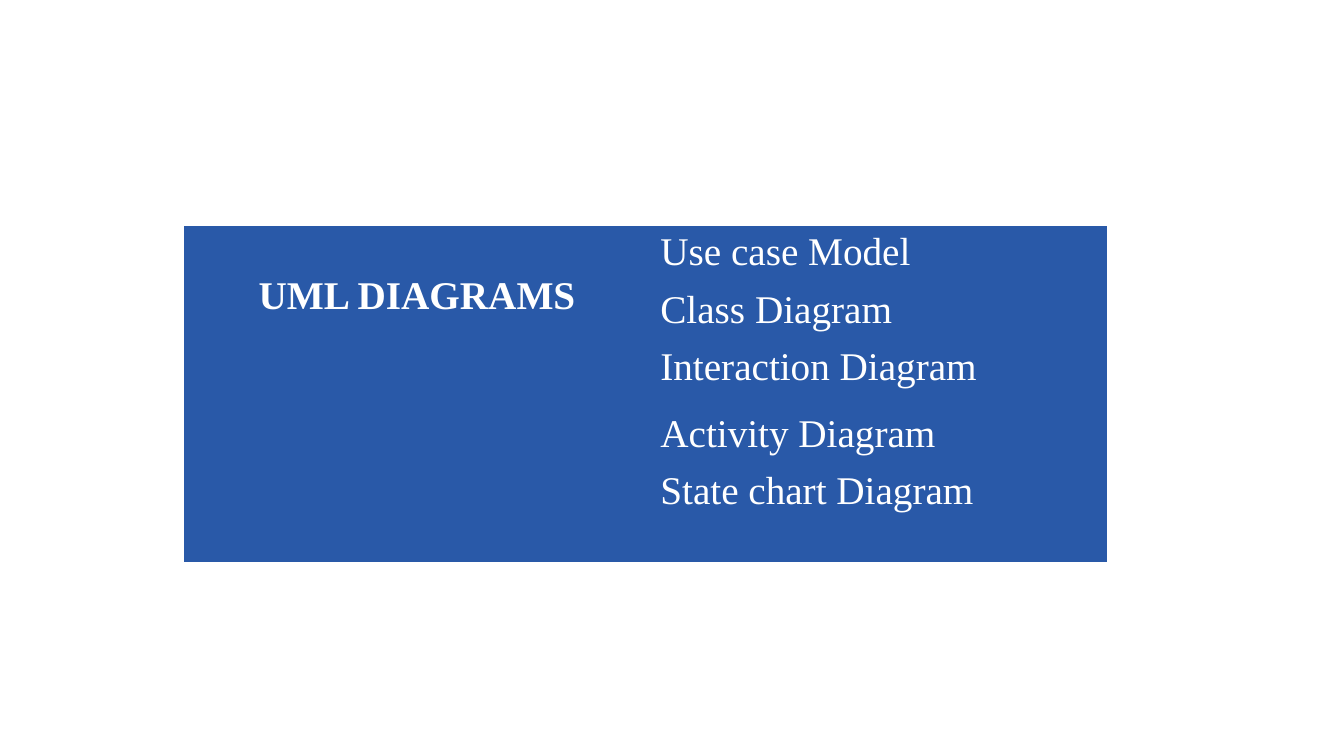
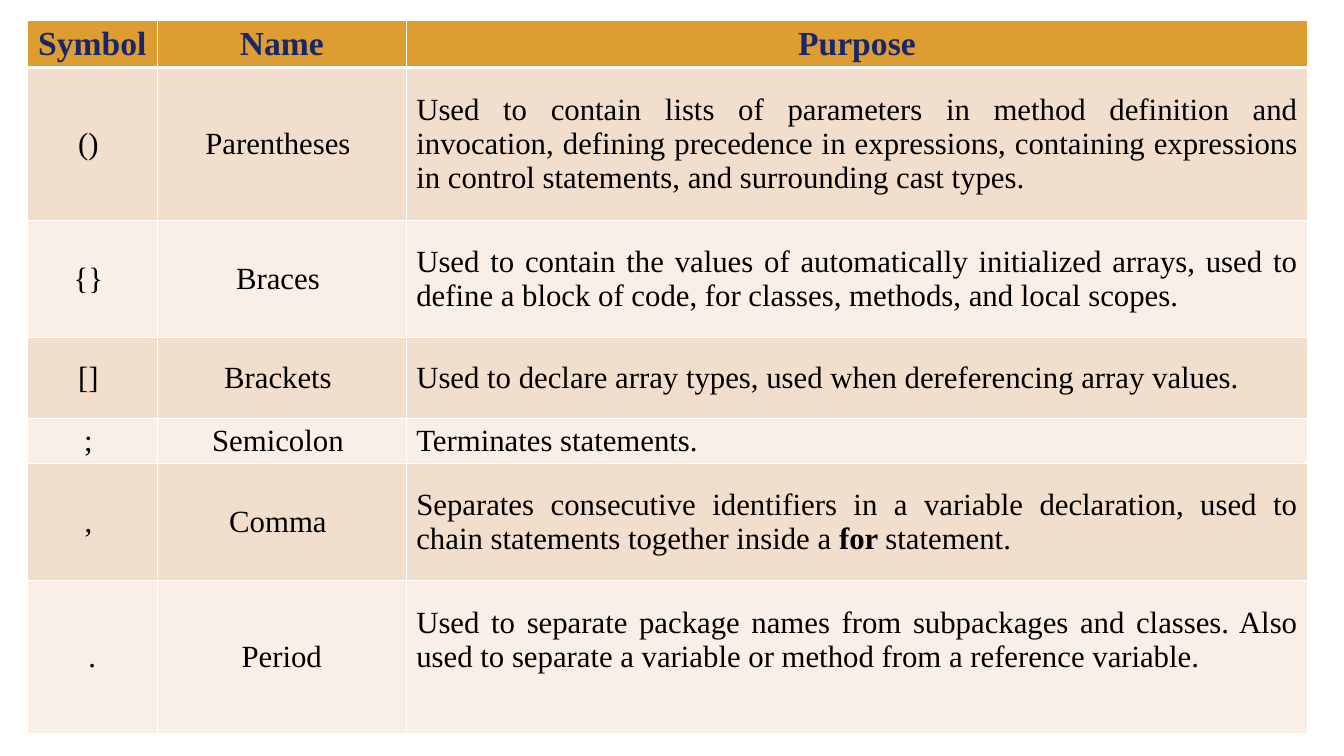
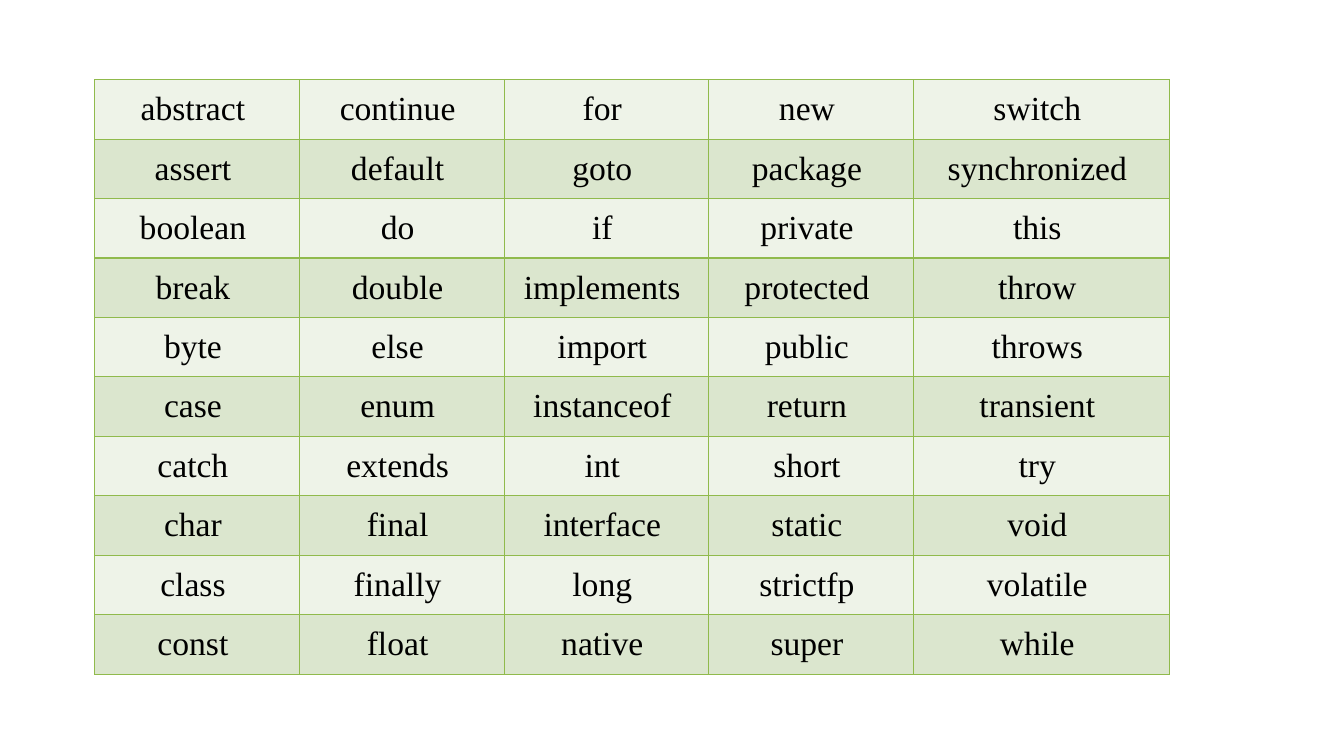
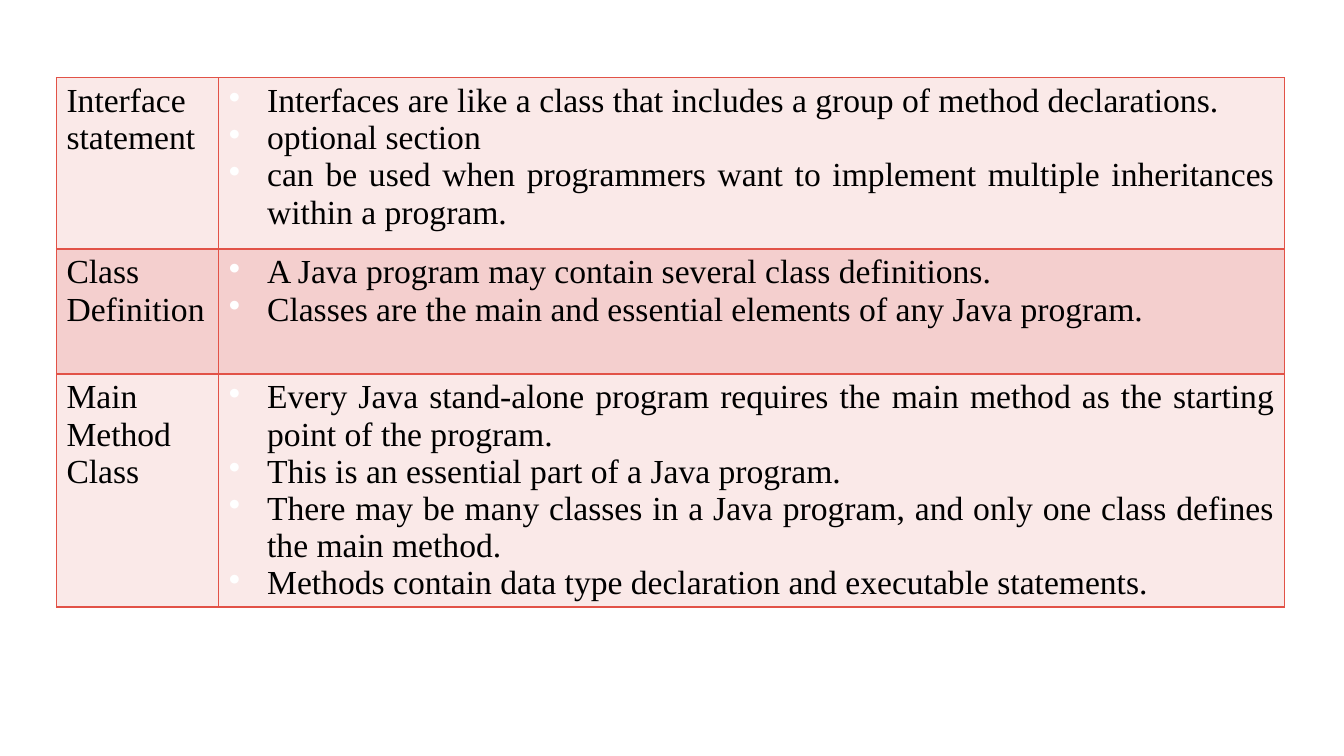
from pptx import Presentation
from pptx.dml.color import RGBColor
from pptx.enum.text import MSO_ANCHOR as Anchor, PP_ALIGN as Align
from pptx.oxml import parse_xml
from pptx.oxml.ns import nsdecls, qn
from pptx.util import Inches, Pt

FONT = "Times New Roman"
BLACK, WHITE, NAVY = "000000", "FFFFFF", "18276C"
BLUE, GOLD = "2959A8", "DD9D31"
SAND = ("F2DECC", "F9EFE7")
GREEN = ("EEF3E8", "DBE6CE")
ROSE = ("FAE9E8", "F4CFCE")
LEAF, RED = "90BA4C", "E25247"
PLAIN = "{2D5ABB26-0587-4C30-8999-92F81FD0307C}"  # no style, no grid


def rgb(code):
    return RGBColor.from_string(code)


def node(tag, attrs="", inner=""):
    return parse_xml(f"<a:{tag} {nsdecls('a')} {attrs}>{inner}</a:{tag}>")


def paint(code):
    return f'<a:srgbClr val="{code}"/>'


class Deck:
    def __init__(self):
        self.prs = Presentation()
        self.prs.slide_width = Inches(13.33)
        self.prs.slide_height = Inches(7.5)
        self.slide = None

    def page(self):
        self.slide = self.prs.slides.add_slide(self.prs.slide_layouts[6])

    def grid(self, left, top, cols, rows):
        """Add a bare table with the given column widths and row heights."""
        frame = self.slide.shapes.add_table(
            len(rows), len(cols), Inches(left), Inches(top),
            Inches(sum(cols)), Inches(sum(rows)))
        table = frame.table
        table.first_row = table.horz_banding = False
        for style in frame.element.iter(qn("a:tableStyleId")):
            style.text = PLAIN
        for col, width in zip(table.columns, cols):
            col.width = Inches(width)
        for row, height in zip(table.rows, rows):
            row.height = Inches(height)
        return table

    def edge(self, cell, color, top=1, bottom=1):
        """Draw the four borders of a cell; widths are in points."""
        props = cell._tc.get_or_add_tcPr()
        sides = (("lnL", 1), ("lnR", 1), ("lnT", top), ("lnB", bottom))
        for spot, (tag, width) in enumerate(sides):
            fill = f"<a:solidFill>{paint(color)}</a:solidFill>"
            props.insert(spot, node(tag, f'w="{Pt(width)}"', fill))

    def bullet(self, para):
        props = para._p.get_or_add_pPr()
        props.set("marL", str(Inches(0.38)))
        props.set("indent", str(-Inches(0.38)))
        props.append(node("buClr", inner=paint(WHITE)))
        props.append(node("buChar", 'char="•"'))

    def put(self, cell, text, fill, size=24, color=BLACK, bold=False,
            align=Align.LEFT, anchor=Anchor.TOP):
        """Fill a cell. A list holds bulleted paragraphs; in a tuple
        of runs every second one is bold."""
        cell.fill.solid()
        cell.fill.fore_color.rgb = rgb(fill)
        cell.vertical_anchor = anchor
        listed = isinstance(text, list)
        frame = cell.text_frame
        for num, item in enumerate(text if listed else [text]):
            para = frame.add_paragraph() if num else frame.paragraphs[0]
            if listed:
                self.bullet(para)
            para.alignment = align
            runs = item if isinstance(item, tuple) else (item,)
            for spot, words in enumerate(runs):
                run = para.add_run()
                run.text = words
                font = run.font
                font.name, font.size = FONT, Pt(size)
                font.bold = bold or spot % 2 == 1
                font.color.rgb = rgb(color)


def models(deck):
    deck.page()
    names = ("Use case Model", "Class Diagram", "Interaction Diagram",
             "Activity Diagram", "State chart Diagram")
    table = deck.grid(1.82, 2.24, (4.63, 4.53), (0.57, 0.57, 0.66, 0.57, 0.97))
    head = table.cell(0, 0)
    head.merge(table.cell(len(names) - 1, 0))
    deck.put(head, "UML DIAGRAMS", BLUE, 28, WHITE, True, Align.CENTER)
    head.text_frame.paragraphs[0].line_spacing = 2.0
    for row, name in enumerate(names):
        deck.put(table.cell(row, 1), name, BLUE, 28, WHITE)


def symbols(deck):
    deck.page()
    data = (
        ("Symbol", "Name", "Purpose"),
        ("() ", "Parentheses ",
         "Used to contain lists of parameters in method definition and "
         "invocation, defining precedence in expressions, containing "
         "expressions in control statements, and surrounding cast types. "),
        ("{} ", "Braces ",
         "Used to contain the values of automatically initialized arrays, "
         "used to define a block of code, for classes, methods, and local "
         "scopes. "),
        ("[] ", "Brackets ",
         "Used to declare array types, used when dereferencing array "
         "values. "),
        ("; ", "Semicolon ", "Terminates statements. "),
        (", ", "Comma ",
         ("Separates consecutive identifiers in a variable declaration, "
          "used to chain statements together inside a ", "for ",
          "statement. ")),
        (".", "Period",
         "Used to separate package names from subpackages and classes. Also "
         "used to separate a variable or method from a reference variable. "),
    )
    table = deck.grid(0.27, 0.2, (1.29, 2.47, 8.94),
                      (0.46, 1.52, 1.16, 0.8, 0.45, 1.16, 1.52))
    for row, line in enumerate(data):
        for col, text in enumerate(line):
            cell = table.cell(row, col)
            if row == 0:
                deck.put(cell, text, GOLD, 24, NAVY, True,
                         Align.CENTER, Anchor.MIDDLE)
            else:
                align = Align.JUSTIFY if col == 2 else Align.CENTER
                deck.put(cell, text, SAND[(row - 1) % 2], 22,
                         align=align, anchor=Anchor.MIDDLE)
            deck.edge(cell, WHITE, 3 if row == 1 else 1, 3 if row == 0 else 1)
    cell.margin_bottom = Inches(0.39)  # lifts the last purpose


def keywords(deck):
    deck.page()
    data = (
        "abstract continue for new switch",
        "assert default goto package synchronized",
        "boolean do if private this",
        "break double implements protected throw",
        "byte else import public throws",
        "case enum instanceof return transient",
        "catch extends int short try",
        "char final interface static void",
        "class finally long strictfp volatile",
        "const float native super while",
    )
    table = deck.grid(0.94, 0.79, [2.03] * 4 + [2.54], [0.59] * len(data))
    for row, line in enumerate(data):
        for col, word in enumerate(line.split()):
            cell = table.cell(row, col)
            deck.put(cell, word + " ", GREEN[row % 2],
                     align=Align.CENTER, anchor=Anchor.MIDDLE)
            deck.edge(cell, LEAF)


def sections(deck):
    deck.page()
    data = (
        ("Interface statement", [
            "Interfaces are like a class that includes a group of method "
            "declarations. ",
            "optional section ",
            "can be used when programmers want to implement multiple "
            "inheritances within a program."]),
        ("Class Definition", [
            "A Java program may contain several class definitions. ",
            "Classes are the main and essential elements of any Java "
            "program."]),
        ("Main Method Class", [
            "Every Java stand-alone program requires the main method as the "
            "starting point of the program. ",
            "This is an essential part of a Java program. ",
            "There may be many classes in a Java program, and only one class "
            "defines the main method. ",
            "Methods contain data type declaration and executable "
            "statements."]),
    )
    table = deck.grid(0.56, 0.77, (1.61, 10.57), (1.7, 1.24, 2.31))
    for row, line in enumerate(data):
        for col, text in enumerate(line):
            cell = table.cell(row, col)
            deck.put(cell, text, ROSE[row % 2], align=Align.JUSTIFY)
            deck.edge(cell, RED)


def main():
    deck = Deck()
    for build in (models, symbols, keywords, sections):
        build(deck)
    deck.prs.save("out.pptx")


if __name__ == "__main__":
    main()
